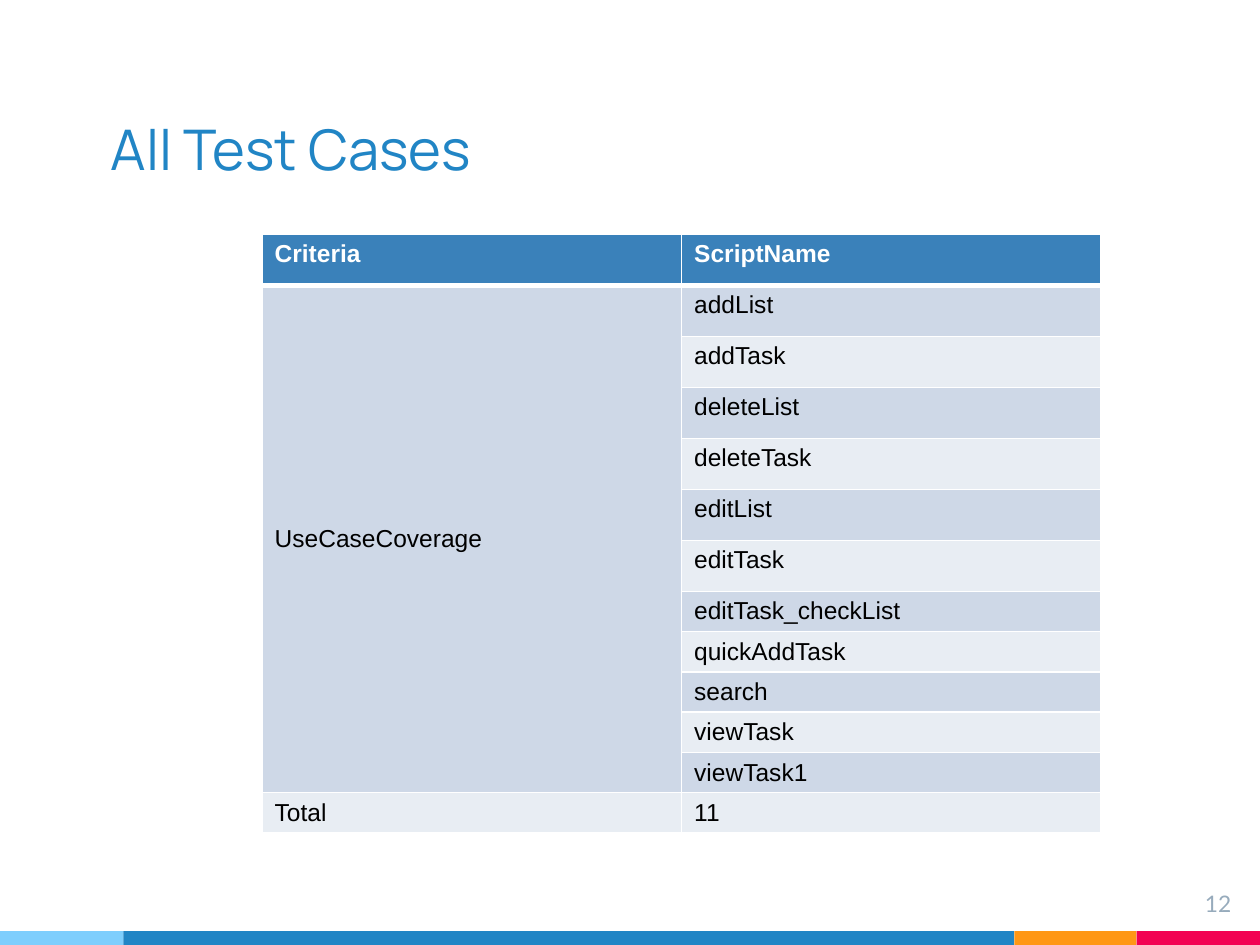
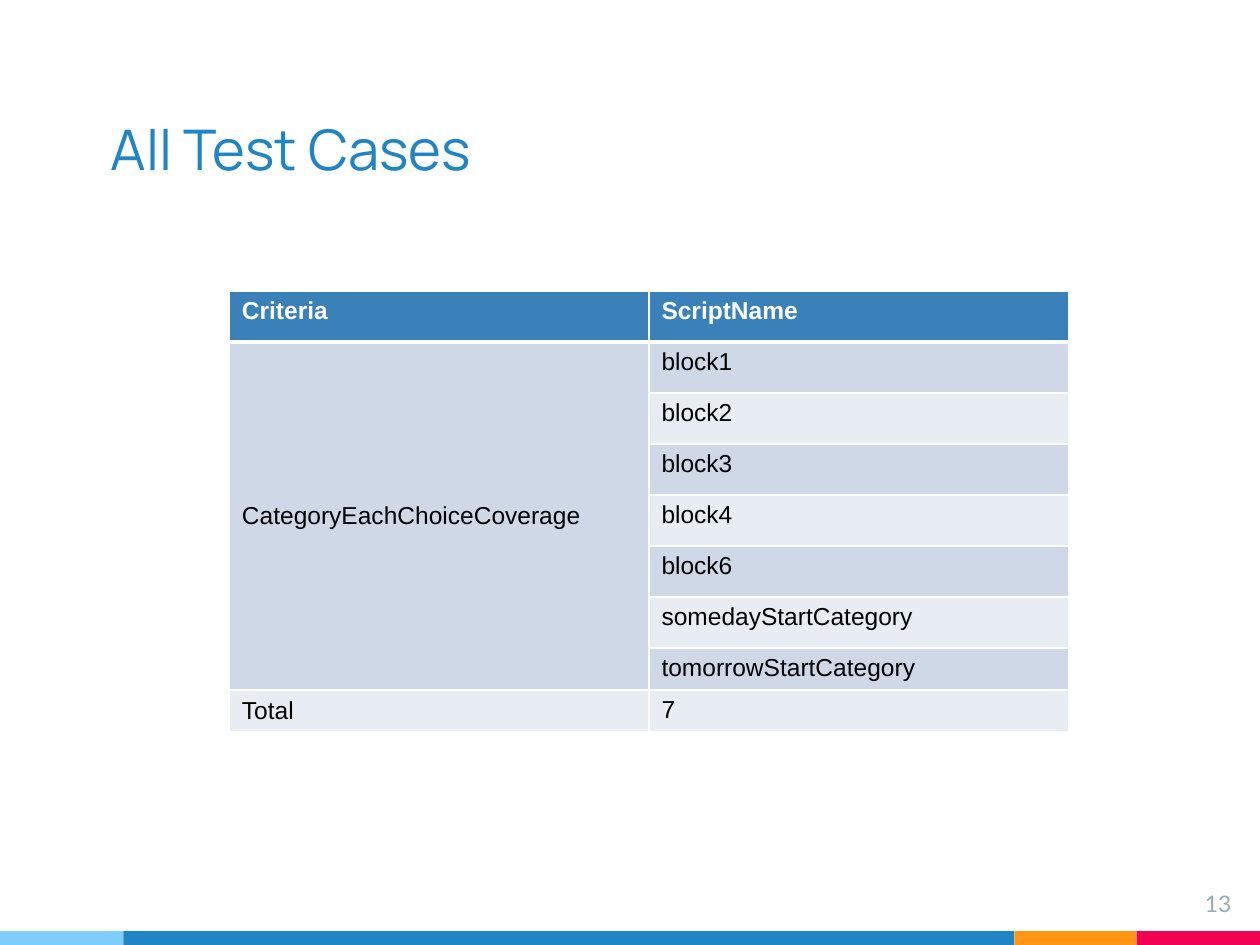
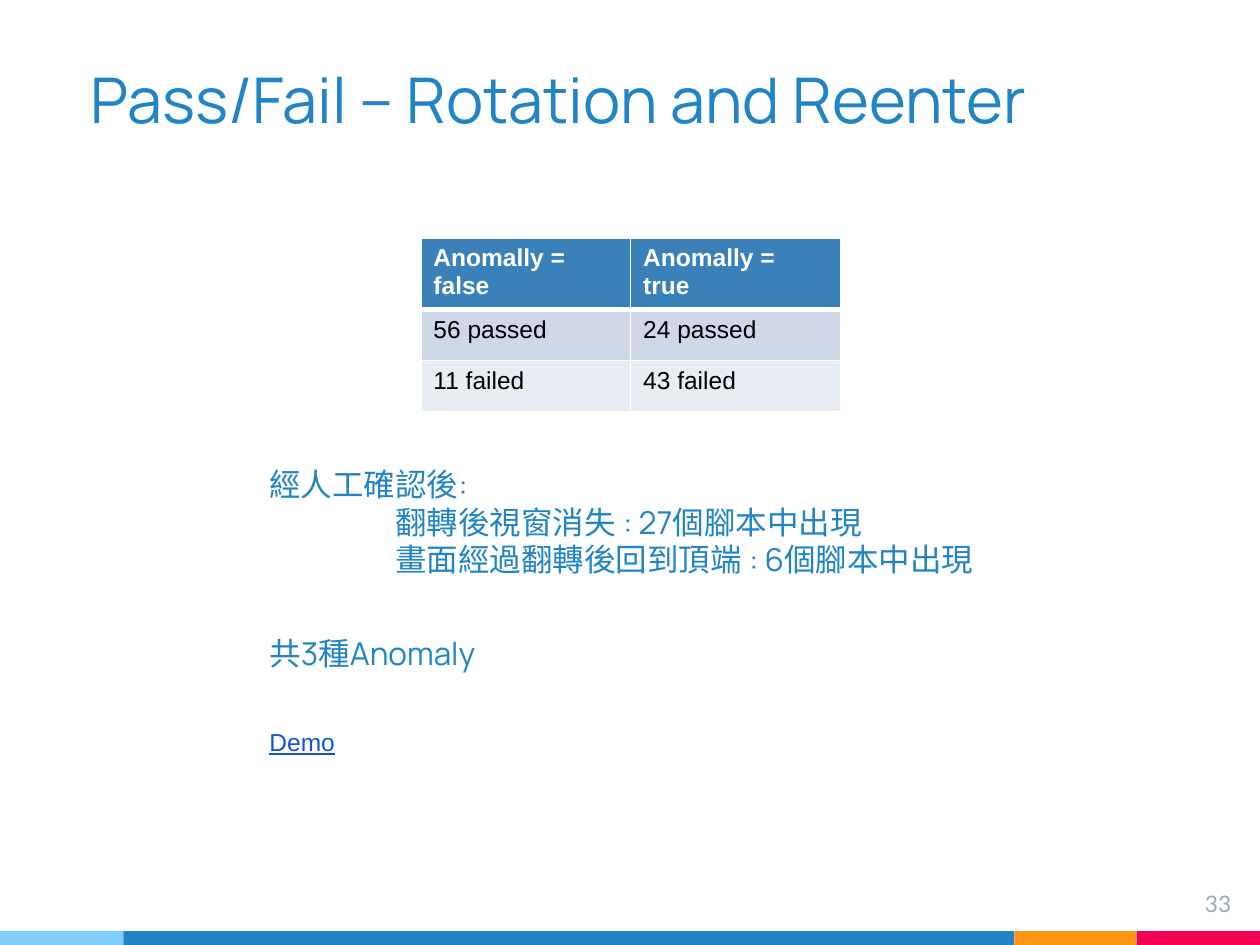
"""Build three test-report slides with shared titles, tables and footer bands."""
from dataclasses import dataclass
from itertools import accumulate

from lxml import etree
from pptx import Presentation
from pptx.dml.color import RGBColor
from pptx.enum.shapes import MSO_SHAPE
from pptx.enum.text import MSO_ANCHOR, PP_ALIGN
from pptx.oxml.ns import qn
from pptx.slide import Slide
from pptx.table import _Cell
from pptx.text.text import _Paragraph
from pptx.util import Emu, Inches, Pt

RECT = MSO_SHAPE.RECTANGLE
TOP, MIDDLE, BOTTOM = MSO_ANCHOR.TOP, MSO_ANCHOR.MIDDLE, MSO_ANCHOR.BOTTOM
LEFT, RIGHT = PP_ALIGN.LEFT, PP_ALIGN.RIGHT

COLUMNS, ROWS = 100, 75
WIDTH, HEIGHT = Inches(10), Inches(7.5)


@dataclass(frozen=True)
class Style:
    """Type settings of one kind of text."""
    name: str
    size: float
    color: str
    bold: bool = False
    underline: bool = False


@dataclass(frozen=True)
class Theme:
    """Colours and type styles shared by the slides."""
    sky: str = "7ECEFD"
    blue: str = "2185C5"
    orange: str = "FF9715"
    red: str = "F20253"
    rule: str = "FFFFFF"
    header_fill: str = "3A81BA"
    stripes: tuple[str, str] = ("CED8E7", "E8EDF3")
    title: Style = Style("Manrope", 32, "2185C5")
    wide_title: Style = Style("Manrope", 36, "2185C5")
    note: Style = Style("Manrope", 18, "2185C5")
    demo: Style = Style("Arial", 14, "1155CC", underline=True)
    number: Style = Style("Lato", 13, "97ABBC")
    header: Style = Style("Arial", 14, "FFFFFF", bold=True)
    body: Style = Style("Arial", 14, "000000")


@dataclass(frozen=True)
class Box:
    """Place and size in grid columns and rows."""
    col: float
    row: float
    cols: float
    rows: float

    def emu(self) -> tuple[Emu, Emu, Emu, Emu]:
        """Return left, top, width and height."""
        return across(self.col), down(self.row), across(self.cols), down(self.rows)


@dataclass(frozen=True)
class Line:
    """One paragraph of a note and its indent in columns."""
    text: str
    indent: float = 0


@dataclass(frozen=True)
class Note:
    """A text box with one style."""
    box: Box
    lines: tuple[Line, ...]
    style: Style
    anchor: MSO_ANCHOR = TOP
    align: PP_ALIGN = LEFT
    inset: tuple[float, float] = (1, 0.5)


@dataclass(frozen=True)
class Grid:
    """A striped table, whose first column may hold one spanning criterion."""
    col: float
    row: float
    col_width: float
    heights: tuple[float, ...]
    cells: tuple[tuple[str, ...], ...]
    span: int = 0


@dataclass(frozen=True)
class Page:
    """Contents of one slide."""
    number: int
    title: Note
    grid: Grid
    notes: tuple[Note, ...] = ()


THEME = Theme()
BAND_TOP, BAND_ROWS = 73.9, 1.1
BANDS = ((THEME.sky, 9.8), (THEME.blue, 70.7), (THEME.orange, 9.7), (THEME.red, 9.8))
NUMBER_BOX = Box(92.7, 69.6, 6, 4.6)
TALL, LOW = 4.05, 3.2
THIN, THICK = 1, 3


def across(cols: float) -> Emu:
    """Convert grid columns to a length."""
    return Emu(round(WIDTH * cols / COLUMNS))


def down(rows: float) -> Emu:
    """Convert grid rows to a length."""
    return Emu(round(HEIGHT * rows / ROWS))


def write(p: _Paragraph, text: str, style: Style) -> None:
    """Add a styled run to a paragraph."""
    r = p.add_run()
    r.text = text
    formats = {"name": style.name, "size": Pt(style.size),
               "bold": style.bold, "underline": style.underline}
    for key, value in formats.items():
        setattr(r.font, key, value)
    r.font.color.rgb = RGBColor.from_string(style.color)


def add_note(s: Slide, note: Note) -> None:
    """Draw a text box."""
    tf = s.shapes.add_textbox(*note.box.emu()).text_frame
    side, edge = across(note.inset[0]), down(note.inset[1])
    formats = {"word_wrap": True, "vertical_anchor": note.anchor,
               "margin_left": side, "margin_right": side,
               "margin_top": edge, "margin_bottom": edge}
    for key, value in formats.items():
        setattr(tf, key, value)
    for i, line in enumerate(note.lines):
        p = tf.add_paragraph() if i else tf.paragraphs[0]
        p.alignment = note.align
        if line.indent:
            p._p.get_or_add_pPr().set("marL", str(across(line.indent)))
        write(p, line.text, note.style)


def add_bands(s: Slide) -> None:
    """Draw the coloured footer bands."""
    starts = accumulate((cols for _, cols in BANDS), initial=0)
    for (color, cols), col in zip(BANDS, starts):
        sp = s.shapes.add_shape(RECT, *Box(col, BAND_TOP, cols, BAND_ROWS).emu())
        sp.shadow.inherit = False
        sp.fill.solid()
        sp.fill.fore_color.rgb = RGBColor.from_string(color)
        sp.line.fill.background()


def rule_cell(cell: _Cell, row: int) -> None:
    """Set the borders of a cell, thick below the header."""
    widths = {"a:lnL": THIN, "a:lnR": THIN,
              "a:lnT": THICK if row == 1 else THIN,
              "a:lnB": THICK if row == 0 else THIN}
    tc_pr = cell._tc.get_or_add_tcPr()
    for tag, width in widths.items():
        ln = etree.SubElement(tc_pr, qn(tag), w=str(Pt(width)))
        fill = etree.SubElement(ln, qn("a:solidFill"))
        etree.SubElement(fill, qn("a:srgbClr"), val=THEME.rule)


def add_grid(s: Slide, grid: Grid) -> None:
    """Draw a striped table."""
    n_cols = len(grid.cells[0])
    box = Box(grid.col, grid.row, grid.col_width * n_cols, sum(grid.heights))
    table = s.shapes.add_table(len(grid.cells), n_cols, *box.emu()).table
    for column in table.columns:
        column.width = across(grid.col_width)
    for i, (height, texts) in enumerate(zip(grid.heights, grid.cells)):
        table.rows[i].height = down(height)
        for j, text in enumerate(texts):
            cell = table.cell(i, j)
            rule_cell(cell, i)
            color = THEME.stripes[(i - 1) % 2] if i else THEME.header_fill
            cell.fill.solid()
            cell.fill.fore_color.rgb = RGBColor.from_string(color)
            cell.vertical_anchor = MIDDLE if grid.span and i and not j else TOP
            if text:
                write(cell.text_frame.paragraphs[0], text, THEME.body if i else THEME.header)
    if grid.span:
        table.cell(1, 0).merge(table.cell(grid.span, 0))


def title(text: str, box: Box, style: Style) -> Note:
    """Describe a slide title."""
    return Note(box, (Line(text),), style, anchor=BOTTOM, inset=(1, 1))


def coverage(col: float, row: float, criterion: str, scripts: tuple[str, ...],
             n_tall: int) -> Grid:
    """Describe a table of the scripts that cover one criterion."""
    n = len(scripts)
    names = (criterion,) + ("",) * (n - 1)
    cells = (("Criteria", "ScriptName"), *zip(names, scripts), ("Total", str(n)))
    heights = (TALL,) * n_tall + (LOW,) * (len(cells) - n_tall)
    return Grid(col, row, 33.3, heights, cells, span=n)


def add_page(prs: Presentation, page: Page) -> None:
    """Add one slide."""
    s = prs.slides.add_slide(prs.slide_layouts[6])
    add_bands(s)
    number = Note(NUMBER_BOX, (Line(str(page.number)),), THEME.number,
                  align=RIGHT, inset=(1, 1))
    add_grid(s, page.grid)
    for note in (page.title, number, *page.notes):
        add_note(s, note)


CASES_TITLE = title("All Test Cases", Box(7.8, 8.5, 70.7, 6.9), THEME.title)
USE_CASES = ("addList", "addTask", "deleteList", "deleteTask", "editList", "editTask",
             "editTask_checkList", "quickAddTask", "search", "viewTask", "viewTask1")
CATEGORIES = ("block1", "block2", "block3", "block4", "block6",
              "somedayStartCategory", "tomorrowStartCategory")
RESULTS = (("Anomally = false", "Anomally = true"),
           ("56 passed", "24 passed"),
           ("11 failed", "43 failed"))
FINDINGS = (Line("經人工確認後:"),
            Line("翻轉後視窗消失 : 27個腳本中出現", 10),
            Line("畫面經過翻轉後回到頂端 : 6個腳本中出現", 10))
NOTE_COL = 20.4

PAGES = (
    Page(12, CASES_TITLE, coverage(20.8, 18.6, "UseCaseCoverage", USE_CASES, 7)),
    Page(13, CASES_TITLE, coverage(18.2, 23.1, "CategoryEachChoiceCoverage", CATEGORIES, 7)),
    Page(33,
         title("Pass/Fail – Rotation and Reenter", Box(6.2, 4.4, 97.5, 7.4), THEME.wide_title),
         Grid(33.4, 18.9, 16.65, (5.4, TALL, TALL), RESULTS),
         (Note(Box(NOTE_COL, 36.4, 59.2, 13.1), FINDINGS, THEME.note),
          Note(Box(NOTE_COL, 49.8, 21.2, 4), (Line("共3種Anomaly"),), THEME.note),
          Note(Box(NOTE_COL, 57.2, 17.1, 3.4), (Line("Demo"),), THEME.demo))),
)


def main() -> None:
    """Build and save the slides."""
    prs = Presentation()
    prs.slide_width, prs.slide_height = WIDTH, HEIGHT
    for page in PAGES:
        add_page(prs, page)
    prs.save("out.pptx")


if __name__ == "__main__":
    main()
